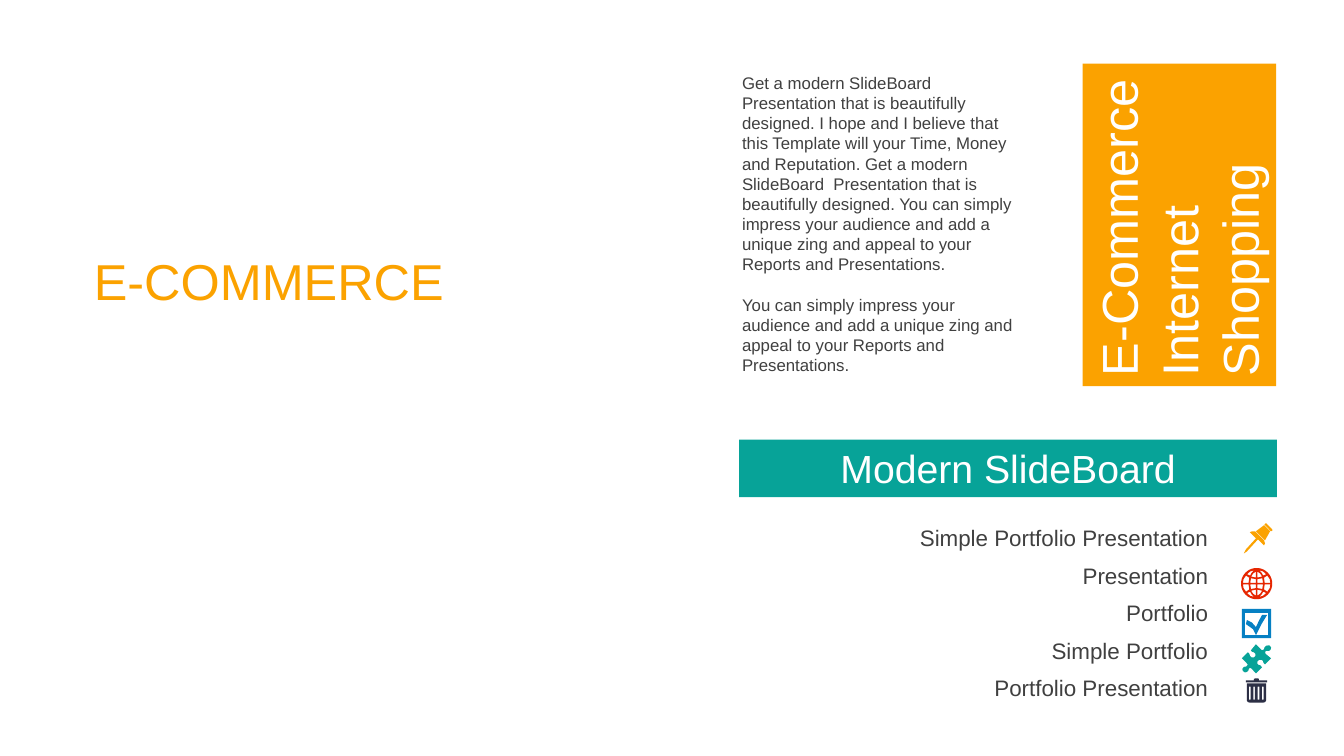
from math import cos, radians, sin

from pptx import Presentation
from pptx.dml.color import RGBColor
from pptx.enum.shapes import MSO_SHAPE as Shape
from pptx.enum.text import MSO_ANCHOR as Anchor, PP_ALIGN as Align
from pptx.util import Inches, Pt

ORANGE = RGBColor(0xFB, 0xA2, 0x00)
TEAL = RGBColor(0x07, 0xA3, 0x98)
RED = RGBColor(0xE6, 0x26, 0x01)
BLUE = RGBColor(0x06, 0x80, 0xC3)
NAVY = RGBColor(0x2C, 0x2F, 0x45)
GREY = RGBColor(0x40, 0x40, 0x40)
WHITE = RGBColor(0xFF, 0xFF, 0xFF)

deck = Presentation()
deck.slide_width, deck.slide_height = Inches(13.33), Inches(7.5)
slide = deck.slides.add_slide(deck.slide_layouts[6])
COL, ROW = deck.slide_width / 16, deck.slide_height / 20


def write(text, col, row, cols, rows, size=16, color=GREY, align=Align.LEFT,
          anchor=Anchor.TOP, fill=None, rotation=0, spacing=None, gap=0, inset=0.1):
    box = [round(n) for n in (col * COL, row * ROW, cols * COL, rows * ROW)]
    if fill is None:
        block = slide.shapes.add_textbox(*box)
    else:
        block = slide.shapes.add_shape(Shape.RECTANGLE, *box)
        block.shadow.inherit = False
        block.fill.solid()
        block.fill.fore_color.rgb = fill
        block.line.fill.background()
    block.rotation = rotation
    frame = block.text_frame
    frame.word_wrap = True
    frame.vertical_anchor = anchor
    frame.margin_left = frame.margin_right = Inches(inset)
    frame.text = text
    for number, paragraph in enumerate(frame.paragraphs):
        paragraph.alignment = align
        if spacing:
            paragraph.line_spacing = spacing
        if number:
            paragraph.space_before = Pt(gap)
        paragraph.font.name = "Arial"
        paragraph.font.size = Pt(size)
        paragraph.font.color.rgb = color


def draw_icon(color, row, contours, col=14.76):
    outline = None
    for contour in contours:
        points = [(x * 100, y * 100) for x, y in contour]
        if outline is None:
            outline = slide.shapes.build_freeform(*points[0], scale=Inches(0.01) / 100)
        else:
            outline.move_to(*points[0])
        outline.add_line_segments(points[1:], close=True)
    icon = outline.convert_to_shape(round(col * COL), round(row * ROW))
    icon.shadow.inherit = False
    icon.fill.solid()
    icon.fill.fore_color.rgb = color
    icon.line.fill.background()


write("Get a modern SlideBoard  Presentation that is beautifully designed. "
      "I hope and I believe that this Template will your Time, Money and Reputation. "
      "Get a modern SlideBoard  Presentation that is beautifully designed. "
      "You can simply impress your audience and add a unique zing and appeal "
      "to your Reports and Presentations.\n"
      "You can simply impress your audience and add a unique zing and appeal "
      "to your Reports and Presentations.",
      8.69, 1.79, 3.52, 8.35, size=12, gap=14.4, inset=0.12)

services = ["Simple Portfolio Presentation", "Presentation", "Portfolio",
            "Simple Portfolio", "Portfolio Presentation"]
for number, service in enumerate(services):
    write(service, 10.62, 13.87 + number * 0.995, 3.88, 0.85,
          align=Align.RIGHT, spacing=0.8)

pin = [
    [(15, 10), (24, 19), (25, 22), (24, 24), (18, 18), (7, 30), (4, 32),
     (6, 28), (16, 17), (10, 11), (12, 10)],
    [(24, 4), (30, 10), (25, 19), (16, 10)],
    [(26, 2), (32, 8), (32.5, 9), (31, 10), (25, 4), (24.5, 3)],
]
draw_icon(ORANGE, 13.79, pin)

globe_windows = [
    [(0.7, 12), (0.7, 6), (5.5, 7), (3.5, 10)],
    [(0.7, 0.7), (0.7, 4.5), (5.6, 5.3), (6.4, 0.7)],
    [(8, 0.7), (7.3, 5.8), (10.5, 8), (13, 4.5), (13.6, 0.7)],
    [(2.5, 13.2), (4.8, 11), (6.5, 8), (9.5, 9.3), (6.5, 12)],
]
globe = [[(15.5 * cos(radians(a)), 15.5 * sin(radians(a))) for a in range(0, 360, 6)]]
for side in (1, -1):
    for half in (1, -1):
        globe += [[(side * x, half * y) for x, y in window] for window in globe_windows]
draw_icon(RED, 15.44, globe, col=14.96)

checkbox = [
    [(2, 0), (31, 0), (31, 29), (2, 29)],
    [(5, 4), (5, 26), (16, 26), (13, 20), (6, 15), (7, 11), (12, 13.5), (16, 18),
     (19, 11.5), (22, 6), (27, 6), (21.5, 15), (16, 26), (28, 26), (28, 4)],
]
draw_icon(BLUE, 16.11, checkbox)

puzzle = [[
    (29, 3), (31, 5), (30.5, 7.5), (29, 8.5), (26.5, 8.5), (25, 9.5), (25.5, 11.5),
    (31, 16), (25, 22), (23.5, 20.5), (23, 18.5), (21.5, 17.5), (19, 17.5),
    (17.5, 19), (17.5, 21.5), (18.5, 22.5), (20.5, 23), (22, 25), (16, 31),
    (11, 25.5), (9, 26), (8.5, 28), (7, 29.5), (5, 30), (3, 28.5), (2.5, 26.5),
    (4, 24.5), (6.5, 24), (8, 22), (2, 16), (8, 10), (9.5, 11.5), (10, 13.5),
    (11.5, 15), (14, 15), (15.5, 13.5), (15.5, 11.5), (14, 10), (12, 9.5),
    (11, 8), (16, 2), (22, 8), (24, 7), (24.5, 5), (26, 3.5),
]]
draw_icon(TEAL, 16.99, puzzle)

bin_lid = [(14, 2), (14, 0.5), (15, 0), (18, 0), (19, 0.5), (19, 2),
           (27, 2), (27, 4), (6, 4), (6, 2)]
bin_body = [(7, 5), (26, 5), (26, 22), (25, 23.5), (23, 24),
            (10, 24), (8, 23.5), (7, 22)]
bin_slots = [[(x, 8), (x + 1.7, 8), (x + 1.7, 21), (x, 21)]
             for x in (9 + 4.3 * number for number in range(4))]
draw_icon(NAVY, 17.95, [bin_lid, bin_body, *bin_slots])

write("Modern SlideBoard", 8.8, 11.63, 6.4, 1.52, size=28, color=WHITE,
      align=Align.CENTER, fill=TEAL)
write("E-COMMERCE", 1, 6.48, 4.6, 1.89, size=36, color=ORANGE,
      align=Align.JUSTIFY, anchor=Anchor.MIDDLE)
write("E-Commerce Internet Shopping", 12.12, 3.39, 3.84, 5.12, size=36, color=WHITE,
      align=Align.JUSTIFY, fill=ORANGE, rotation=270)

deck.save("out.pptx")
